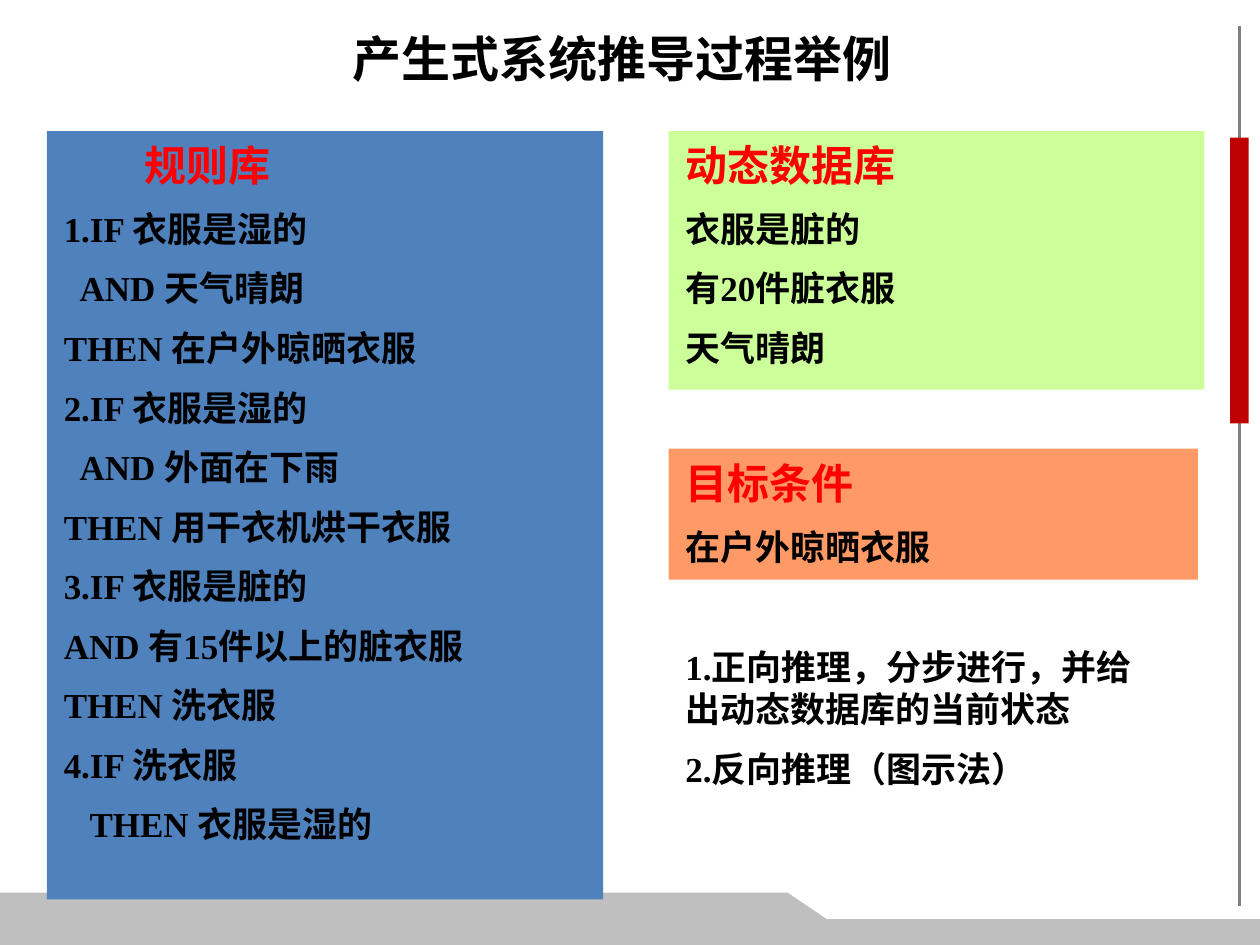
import lxml.etree
import pptx
import pptx.dml.color
import pptx.enum.lang
import pptx.enum.shapes
import pptx.enum.text
import pptx.oxml.ns
import pptx.util

Cm = pptx.util.Cm
Pt = pptx.util.Pt
RGBColor = pptx.dml.color.RGBColor

BLACK = RGBColor(0x00, 0x00, 0x00)
RED = RGBColor(0xFF, 0x00, 0x00)
BLUE = RGBColor(0x4F, 0x81, 0xBD)
GREEN = RGBColor(0xCC, 0xFF, 0x99)
ORANGE = RGBColor(0xFF, 0x99, 0x66)
BAR_RED = RGBColor(0xBF, 0x00, 0x00)
LINE_GRAY = RGBColor(0x80, 0x80, 0x80)
BAND_GRAY = RGBColor(0xBF, 0xBF, 0xBF)

FONT = "Times New Roman"
PAGE_WIDTH, PAGE_HEIGHT = Cm(19.05), Cm(14.28)
TOP = Cm(1.98)
LEFT_COLUMN, RIGHT_COLUMN = Cm(0.71), Cm(10.11)
AND_INDENT, THEN_INDENT, HEADING_INDENT = Cm(0.24), Cm(0.39), Cm(1.22)

# Each line is (text, indent)
RULES = [
    ("1.IF 衣服是湿的", 0),
    ("AND 天气晴朗", AND_INDENT),
    ("THEN 在户外晾晒衣服", 0),
    ("2.IF 衣服是湿的", 0),
    ("AND 外面在下雨", AND_INDENT),
    ("THEN 用干衣机烘干衣服", 0),
    ("3.IF 衣服是脏的", 0),
    ("AND 有15件以上的脏衣服", 0),
    ("THEN 洗衣服", 0),
    ("4.IF 洗衣服", 0),
    ("THEN 衣服是湿的", THEN_INDENT),
]
FACTS = [("衣服是脏的", 0), ("有20件脏衣服", 0), ("天气晴朗", 0)]
GOALS = [("在户外晾晒衣服", 0)]
TASKS = [
    ("1.正向推理，分步进行，并给出动态数据库的当前状态", 0),
    ("2.反向推理（图示法）", 0),
]


def write_line(para, text, size, color, indent=0):
    """Write one bold, left-aligned line without a bullet."""
    properties = para._p.get_or_add_pPr()
    properties.set("marL", str(int(indent)))
    properties.set("indent", "0")
    lxml.etree.SubElement(properties, pptx.oxml.ns.qn("a:buNone"))
    para.alignment = pptx.enum.text.PP_ALIGN.LEFT
    para.space_before = Pt(0)
    span = para.add_run()
    span.text = text
    font = span.font
    font.name, font.size, font.bold = FONT, Pt(size), True
    font.color.rgb = color
    font.language_id = pptx.enum.lang.MSO_LANGUAGE_ID.SIMPLIFIED_CHINESE


def place(holder, box):
    """Move a placeholder to its box and return its text frame."""
    holder.left, holder.top, holder.width, holder.height = box
    frame = holder.text_frame
    frame.word_wrap = True
    frame.auto_size = pptx.enum.text.MSO_AUTO_SIZE.NONE
    frame.vertical_anchor = pptx.enum.text.MSO_ANCHOR.TOP
    return frame


def fill_title(holder, box):
    frame = place(holder, box)
    write_line(frame.paragraphs[0], "产生式系统推导过程举例", 21, BLACK)


def fill_panel(holder, box, lines, heading=None, color=None, heading_indent=0):
    """Fill a panel with an optional red heading and its lines."""
    frame = place(holder, box)
    if color is not None:
        holder.fill.solid()
        holder.fill.fore_color.rgb = color
    entries = [(text, 15, BLACK, indent) for text, indent in lines]
    if heading:
        entries.insert(0, (heading, 18, RED, heading_indent))
    for number, entry in enumerate(entries):
        para = frame.add_paragraph() if number else frame.paragraphs[0]
        write_line(para, *entry)
        if number:
            para.space_before = Pt(7.5)


def paint(shape, color):
    shape.shadow.inherit = False
    shape.fill.solid()
    shape.fill.fore_color.rgb = color
    shape.line.fill.background()


def add_side_rule(page, box):
    """Draw the thin vertical line and the red bar centred on it."""
    left, top, width, height = box
    middle = left + width // 2
    line = page.shapes.add_connector(
        pptx.enum.shapes.MSO_CONNECTOR.STRAIGHT, middle, top, middle, top + height)
    line.line.color.rgb = LINE_GRAY
    line.line.width = Pt(1.5)
    lxml.etree.SubElement(line.element.spPr, pptx.oxml.ns.qn("a:effectLst"))
    bar = page.shapes.add_shape(
        pptx.enum.shapes.MSO_SHAPE.RECTANGLE, left, top + Cm(1.68), width, Cm(4.32))
    paint(bar, BAR_RED)
    return [line, bar]


def add_footer_band(page, box):
    """Draw the grey band that steps down towards the right."""
    left, top, width, height = box
    right, bottom, step = left + width, top + height, top + Cm(0.4)
    outline = page.shapes.build_freeform(left, top)
    outline.add_line_segments([
        (left + Cm(11.91), top), (left + Cm(12.5), step),
        (right, step), (right, bottom), (left, bottom)], close=True)
    band = outline.convert_to_shape()
    paint(band, BAND_GRAY)
    return [band]


def add_decoration(page):
    """Place the decoration behind the text."""
    parts = add_side_rule(page, (Cm(18.6), Cm(0.4), Cm(0.28), Cm(13.29)))
    band_top = Cm(13.49)
    parts += add_footer_band(page, (0, band_top, PAGE_WIDTH, PAGE_HEIGHT - band_top))
    tree = page.shapes.element
    for position, part in enumerate(parts, start=2):
        tree.insert(position, part.element)


def build_comparison_page(deck):
    page = deck.slides.add_slide(deck.slide_layouts[4])
    title, rules, facts, goals, tasks = page.placeholders

    fill_title(title, (Cm(5.08), Cm(0.3), Cm(9.55), Cm(1.14)))

    # Rule base on the left
    fill_panel(rules, (LEFT_COLUMN, TOP, Cm(8.41), Cm(11.61)),
               RULES, "规则库", BLUE, HEADING_INDENT)

    # Database, goal and tasks on the right
    fill_panel(facts, (RIGHT_COLUMN, TOP, Cm(8.1), Cm(3.91)),
               FACTS, "动态数据库", GREEN)
    fill_panel(goals, (RIGHT_COLUMN, Cm(6.78), Cm(8), Cm(1.98)),
               GOALS, "目标条件", ORANGE)
    fill_panel(tasks, (RIGHT_COLUMN, Cm(9.63), Cm(7.47), Cm(2.49)), TASKS)

    add_decoration(page)


def main():
    deck = pptx.Presentation()
    deck.slide_width, deck.slide_height = PAGE_WIDTH, PAGE_HEIGHT
    build_comparison_page(deck)
    deck.save("out.pptx")


if __name__ == "__main__":
    main()
